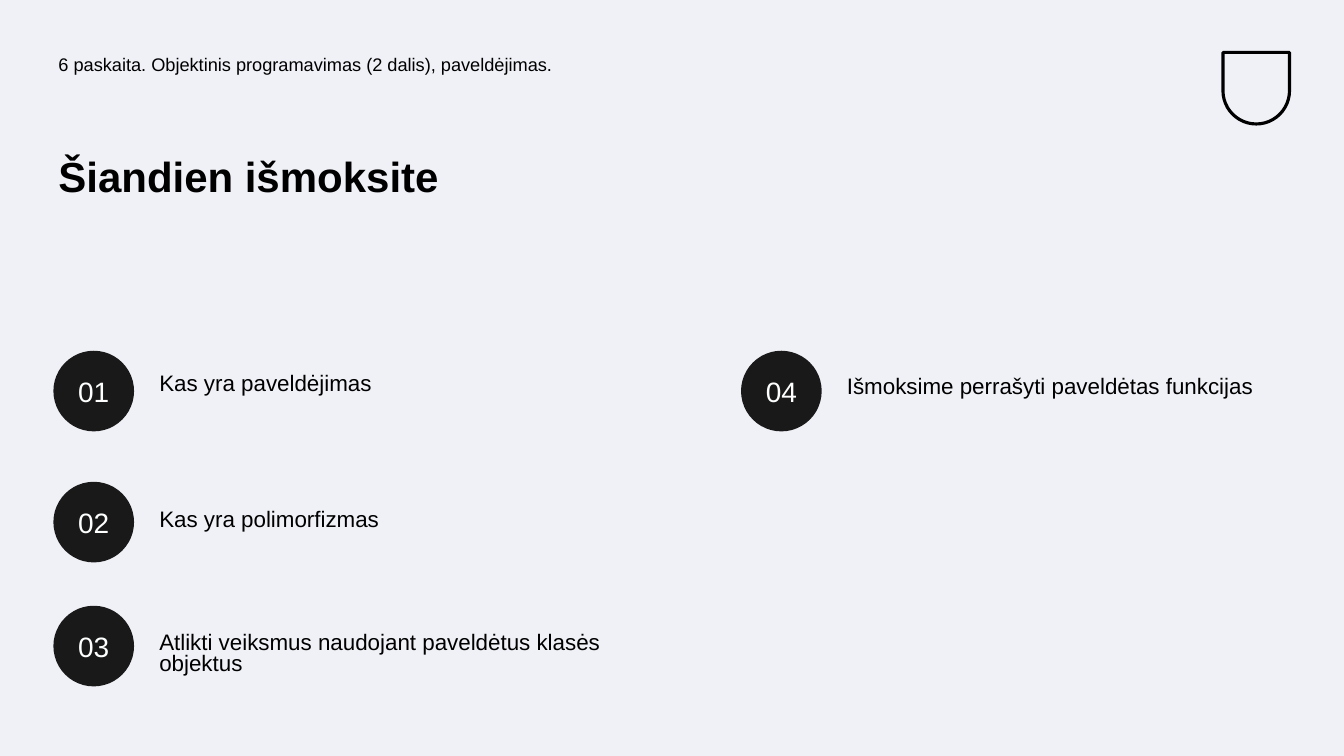
"""Build the lecture slide that lists four learning goals."""
from pptx import Presentation
from pptx.dml.color import RGBColor
from pptx.enum.shapes import MSO_SHAPE
from pptx.enum.text import MSO_ANCHOR, MSO_AUTO_SIZE, PP_ALIGN
from pptx.util import Inches, Pt

ELLIPSE = MSO_SHAPE.OVAL
SHIELD = MSO_SHAPE.ROUND_2_SAME_RECTANGLE
LEFT, CENTER = PP_ALIGN.LEFT, PP_ALIGN.CENTER
TOP, MIDDLE = MSO_ANCHOR.TOP, MSO_ANCHOR.MIDDLE
FIXED, GROW = MSO_AUTO_SIZE.NONE, MSO_AUTO_SIZE.SHAPE_TO_FIT_TEXT

COLORS = {"page": "F0F1F6", "ink": "000000", "badge": "191919", "number": "FEFFFF"}
WIDTH, HEIGHT = 13.33, 7.5
MARGIN, PADDING = 0.53, 0.05
COLUMNS = (MARGIN, 7.35)
ROWS = (3.48, 4.78, 6.01)
BADGE = 0.8
NUMBER_SIZE = (0.46, 0.43)
GOAL_INDENT = 1.0
EMBLEM = (12.13, 0.52, 0.66, 0.71)

HEADINGS = [
    ("6 paskaita. Objektinis programavimas (2 dalis), paveldėjimas.", "lecture",
     (MARGIN, 0.5, 6.14, 0.5)),
    ("Šiandien išmoksite", "title", (MARGIN, 1.5, 5.64, 1.49)),
]
# goal, drop below the badge top, width, height, style
GOALS = [
    ("Kas yra paveldėjimas", 0.16, 4.63, 0.5, "goal"),
    ("Kas yra polimorfizmas", 0.21, 4.63, 0.38, "goal"),
    ("Atlikti veiksmus naudojant paveldėtus klasės objektus", 0.22, 4.87, 0.57, "tight"),
    ("Išmoksime perrašyti paveldėtas funkcijas", 0.19, 4.87, 0.43, "goal"),
]


def style(size, color, spacing=0.9, before=10, bold=False, align=LEFT,
          anchor=TOP, fit=FIXED):
    """Collect the format values of one kind of text."""
    inset = Inches(PADDING)
    return {
        "color": color,
        "frame": {"word_wrap": True, "auto_size": fit, "vertical_anchor": anchor,
                  "margin_left": inset, "margin_top": inset,
                  "margin_right": inset, "margin_bottom": inset},
        "para": {"alignment": align, "line_spacing": spacing, "space_before": Pt(before)},
        "font": {"name": "Arial", "size": Pt(size), "bold": bold},
    }


STYLES = {
    "lecture": style(13, "ink"),
    "title": style(30, "ink", before=0, bold=True),
    "goal": style(16, "ink"),
    "tight": style(16, "ink", spacing=0.8),
    "number": style(20, "number", spacing=1.0, before=0, align=CENTER,
                    anchor=MIDDLE, fit=GROW),
}


def rgb(name):
    """Return the named colour."""
    return RGBColor.from_string(COLORS[name])


def apply(target, values):
    """Set each format value on the target."""
    for name, value in values.items():
        setattr(target, name, value)


def add_text(shapes, text, kind, place):
    """Add a text box in one of the styles."""
    look = STYLES[kind]
    frame = shapes.add_textbox(*map(Inches, place)).text_frame
    para = frame.paragraphs[0]
    span = para.add_run()
    span.text = text
    apply(frame, look["frame"])
    apply(para, look["para"])
    apply(span.font, look["font"])
    span.font.color.rgb = rgb(look["color"])


def add_emblem(page):
    """Add a plain outlined shield in the corner."""
    shield = page.shapes.add_shape(SHIELD, *map(Inches, EMBLEM))
    shield.shadow.inherit = False
    shield.adjustments[0], shield.adjustments[1] = 0, 0.5
    shield.fill.background()
    shield.line.color.rgb = rgb("ink")
    shield.line.width = Pt(2.25)


def add_badge(page, number, left, top):
    """Add a dark circle with its number as one group."""
    shapes = page.shapes.add_group_shape().shapes
    circle = shapes.add_shape(ELLIPSE, *map(Inches, (left, top, BADGE, BADGE)))
    circle.shadow.inherit = False
    circle.fill.solid()
    circle.fill.fore_color.rgb = rgb("badge")
    circle.line.fill.background()
    width, height = NUMBER_SIZE
    place = (left + (BADGE - width) / 2, top + (BADGE - height) / 2, width, height)
    add_text(shapes, f"{number:02d}", "number", place)


def main():
    """Build and save the deck."""
    deck = Presentation()
    deck.slide_width, deck.slide_height = Inches(WIDTH), Inches(HEIGHT)
    page = deck.slides.add_slide(deck.slide_layouts[6])
    page.background.fill.solid()
    page.background.fill.fore_color.rgb = rgb("page")
    add_emblem(page)
    for text, kind, place in HEADINGS:
        add_text(page.shapes, text, kind, place)
    for index, (text, drop, width, height, kind) in enumerate(GOALS):
        column, row = divmod(index, len(ROWS))
        left, top = COLUMNS[column], ROWS[row]
        add_badge(page, index + 1, left, top)
        add_text(page.shapes, text, kind, (left + GOAL_INDENT, top + drop, width, height))
    deck.save("out.pptx")


if __name__ == "__main__":
    main()
